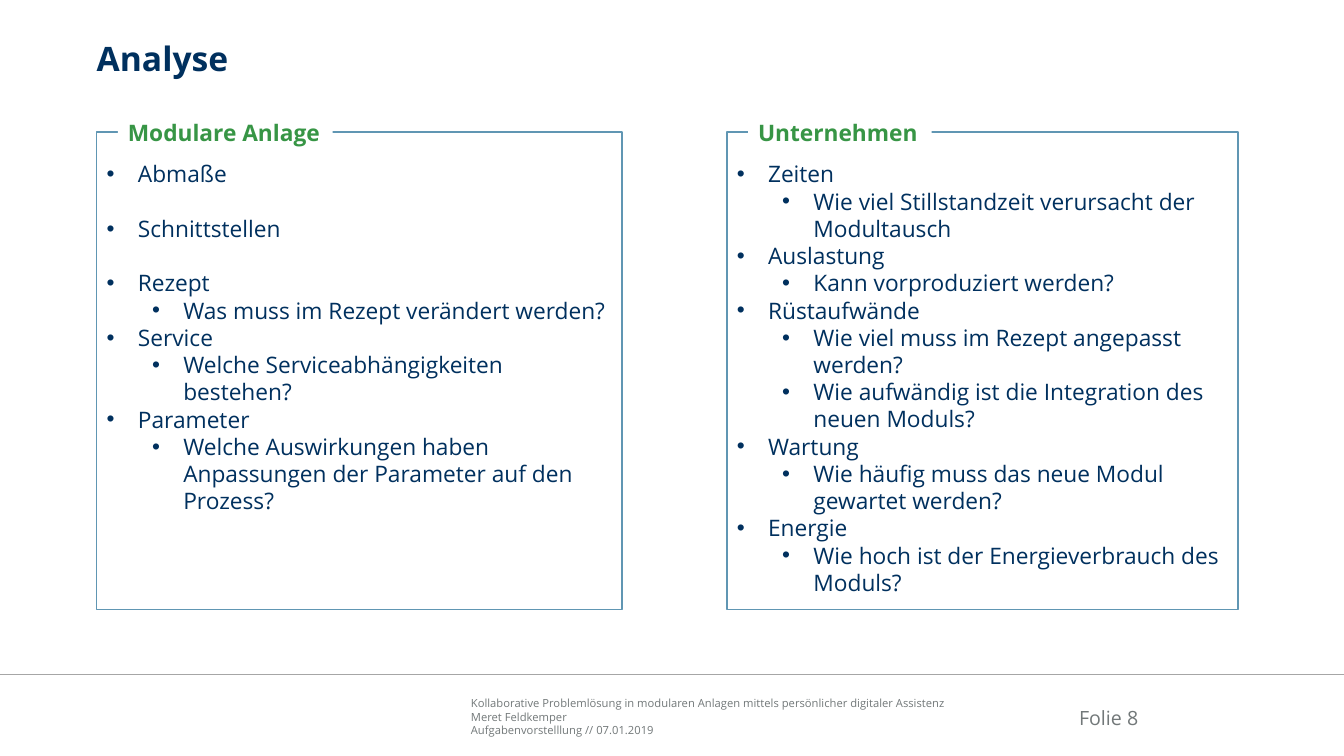
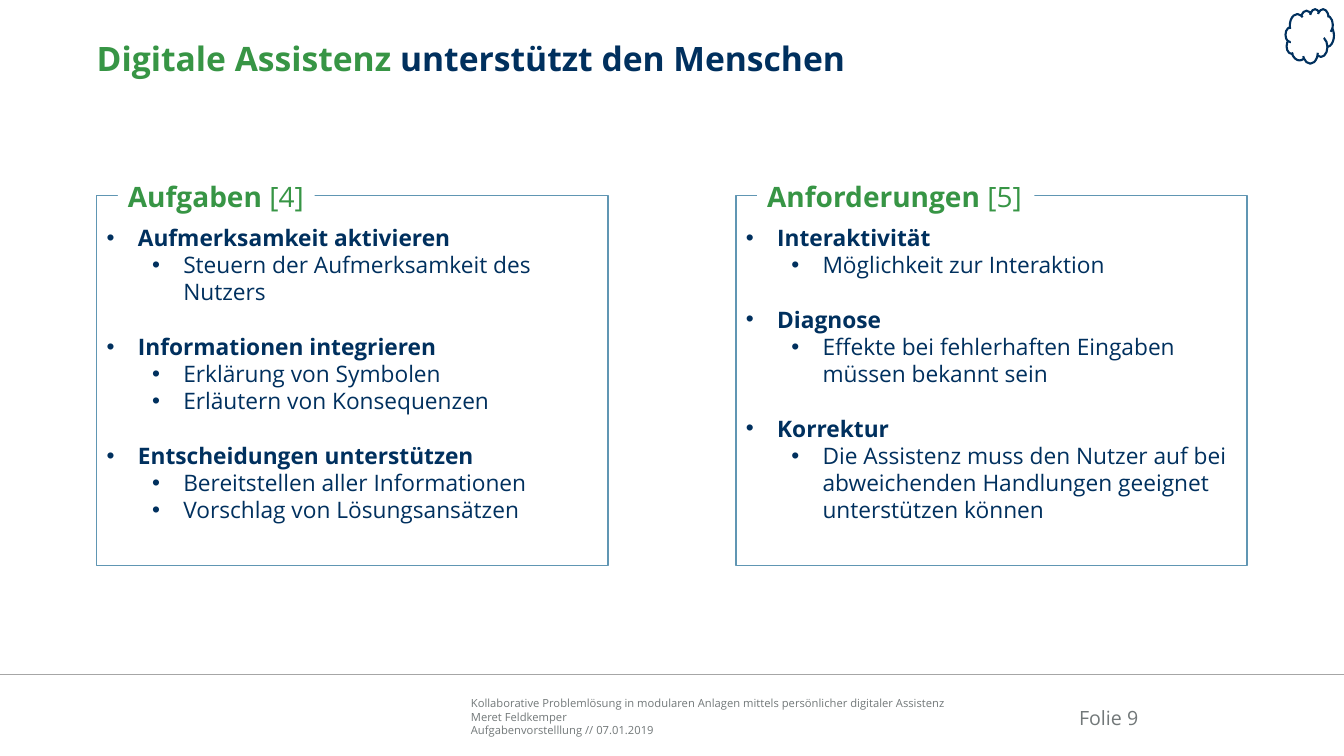
import pptx
import pptx.util
import pptx.dml.color
import pptx.enum.shapes
import pptx.enum.text
import pptx.oxml.ns
import lxml.etree

Inches = pptx.util.Inches
Pt = pptx.util.Pt
SHAPE = pptx.enum.shapes.MSO_SHAPE
ANCHOR = pptx.enum.text.MSO_ANCHOR
ALIGN = pptx.enum.text.PP_ALIGN

FONT = "Open Sans"
NAVY, GREEN, BLUE = "00305E", "379545", "6096B3"
GREY, RULE, WHITE = "727879", "A6A6A6", "FFFFFF"
WIDE, HIGH = 13.33, 7.5
LEFT = 0.96
BODY = 16.2
GAP = 19.5
HANG = 0.31
STEP = 0.45
FOOT = [
    "Kollaborative Problemlösung in modularen Anlagen mittels persönlicher digitaler Assistenz",
    "Meret Feldkemper",
    "Aufgabenvorstelllung // 07.01.2019",
]


def color(code):
    return pptx.dml.color.RGBColor.from_string(code)


def style(run, size, code, bold=False):
    run.font.name = FONT
    run.font.size = Pt(size)
    run.font.color.rgb = color(code)
    run.font.bold = bold


def add_runs(para, parts, size):
    """Append runs given as (text, colour, bold)."""
    for text, code, bold in parts:
        run = para.add_run()
        run.text = text
        style(run, size, code, bold)


def add_text(slide, box, anchor=ANCHOR.TOP):
    """Add a wrapping text box without insets and return its frame."""
    frame = slide.shapes.add_textbox(*map(Inches, box)).text_frame
    frame.word_wrap = True
    frame.vertical_anchor = anchor
    frame.margin_left = frame.margin_right = 0
    frame.margin_top = frame.margin_bottom = 0
    return frame


def add_shape(slide, kind, box, edge=None, width=1):
    """Add a white shape, outlined only if an edge colour is given."""
    shape = slide.shapes.add_shape(kind, *map(Inches, box))
    shape.shadow.inherit = False
    shape.fill.solid()
    shape.fill.fore_color.rgb = color(WHITE)
    if edge:
        shape.line.color.rgb = color(edge)
        shape.line.width = Pt(width)
    else:
        shape.line.fill.background()
    return shape


def add_title(slide, parts):
    frame = add_text(slide, (LEFT, 0.38, 11.57, 0.75))
    add_runs(frame.paragraphs[0], parts, 24)


def add_footer(slide, number):
    top = Inches(6.69)
    rule = slide.shapes.add_connector(
        pptx.enum.shapes.MSO_CONNECTOR.STRAIGHT, 0, top, Inches(WIDE), top)
    rule.line.color.rgb = color(RULE)
    rule.line.width = Pt(1)
    lxml.etree.SubElement(rule._element.spPr, pptx.oxml.ns.qn("a:effectLst"))

    foot = add_text(slide, (4.67, 6.91, 4.91, 0.4), ANCHOR.BOTTOM)
    foot.text = "\n".join(FOOT)
    for para in foot.paragraphs:
        style(para.runs[0], 8, GREY)

    page = add_text(slide, (10.3, 6.94, 0.99, 0.3), ANCHOR.BOTTOM).paragraphs[0]
    page.text = f"Folie {number}"
    page.alignment = ALIGN.RIGHT
    style(page.runs[0], 14, GREY)


def add_bullet(para, level):
    para.level = level
    props = para._p.get_or_add_pPr()
    props.set("marL", str(Inches(HANG + level * STEP)))
    props.set("indent", str(-Inches(HANG)))
    for tag, key, value in (("a:buFont", "typeface", "Arial"),
                            ("a:buChar", "char", "•")):
        lxml.etree.SubElement(props, pptx.oxml.ns.qn(tag)).set(key, value)


def add_panel(slide, box, label, topics, gaps=0, bold=False):
    """Framed bullet list; label is (parts, size, width).

    The first topics after the opening one, as many as gaps, get space above.
    """
    left, top = box[:2]
    frame = add_shape(slide, SHAPE.RECTANGLE, box, BLUE).text_frame
    frame.word_wrap = True
    frame.vertical_anchor = ANCHOR.TOP
    frame.margin_top = Inches(0.28)
    rows = [(text, level, level == 0 and 0 < i <= gaps)
            for i, (head, subs) in enumerate(topics)
            for level, text in [(0, head)] + [(1, sub) for sub in subs]]
    frame.text = "\n".join(row[0] for row in rows)
    for para, (_, level, gap) in zip(frame.paragraphs, rows):
        para.alignment = ALIGN.LEFT
        para.space_before = Pt(GAP if gap else 0)
        add_bullet(para, level)
        style(para.runs[0], BODY, NAVY, bold and level == 0)

    parts, size, width = label
    tab = add_shape(slide, SHAPE.RECTANGLE, (left + 0.21, top - 0.18, width, 0.37))
    tab.text_frame.vertical_anchor = ANCHOR.MIDDLE
    para = tab.text_frame.paragraphs[0]
    para.alignment = ALIGN.LEFT
    add_runs(para, parts, size)


def add_slide(deck, number, title):
    slide = deck.slides.add_slide(deck.slide_layouts[6])
    add_footer(slide, number)
    add_title(slide, title)
    return slide


def add_study(deck):
    slide = add_slide(deck, 8, [("Analyse", NAVY, True)])
    top, high = 1.31, 4.74
    add_panel(slide, (LEFT, top, 5.21, high),
              ([("Modulare Anlage", GREEN, True)], BODY, 2.13), [
        ("Abmaße", []),
        ("Schnittstellen", []),
        ("Rezept", ["Was muss im Rezept verändert werden?"]),
        ("Service", ["Welche Serviceabhängigkeiten bestehen?"]),
        ("Parameter", ["Welche Auswirkungen haben Anpassungen der Parameter auf den Prozess?"]),
    ], gaps=2)
    add_panel(slide, (7.21, top, 5.07, high),
              ([("Unternehmen", GREEN, True)], BODY, 1.82), [
        ("Zeiten", ["Wie viel Stillstandzeit verursacht der Modultausch"]),
        ("Auslastung", ["Kann vorproduziert werden?"]),
        ("Rüstaufwände", ["Wie viel muss im Rezept angepasst werden?",
                          "Wie aufwändig ist die Integration des neuen Moduls?"]),
        ("Wartung", ["Wie häufig muss das neue Modul gewartet werden?"]),
        ("Energie", ["Wie hoch ist der Energieverbrauch des Moduls?"]),
    ])


def add_helper(deck):
    slide = add_slide(deck, 9, [("Digitale Assistenz ", GREEN, True),
                                ("unterstützt den Menschen", NAVY, True)])
    add_shape(slide, SHAPE.CLOUD, (12.75, 0.09, 0.48, 0.54), NAVY, 1.5)
    top, wide, high = 1.94, 5.07, 3.67
    add_panel(slide, (LEFT, top, wide, high),
              ([("Aufgaben ", GREEN, True), ("[4]", GREEN, False)], 20, 1.95), [
        ("Aufmerksamkeit aktivieren", ["Steuern der Aufmerksamkeit des Nutzers"]),
        ("Informationen integrieren", ["Erklärung von Symbolen",
                                       "Erläutern von Konsequenzen"]),
        ("Entscheidungen unterstützen", ["Bereitstellen aller Informationen",
                                         "Vorschlag von Lösungsansätzen"]),
    ], gaps=2, bold=True)
    add_panel(slide, (7.3, top, wide, high),
              ([("Anforderungen ", GREEN, True), ("[5]", GREEN, False)], 20, 2.75), [
        ("Interaktivität", ["Möglichkeit zur Interaktion"]),
        ("Diagnose", ["Effekte bei fehlerhaften Eingaben müssen bekannt sein"]),
        ("Korrektur", ["Die Assistenz muss den Nutzer auf bei abweichenden "
                       "Handlungen geeignet unterstützen können"]),
    ], gaps=2, bold=True)


def main():
    deck = pptx.Presentation()
    deck.slide_width = Inches(WIDE)
    deck.slide_height = Inches(HIGH)
    add_study(deck)
    add_helper(deck)
    deck.save("out.pptx")


if __name__ == "__main__":
    main()
